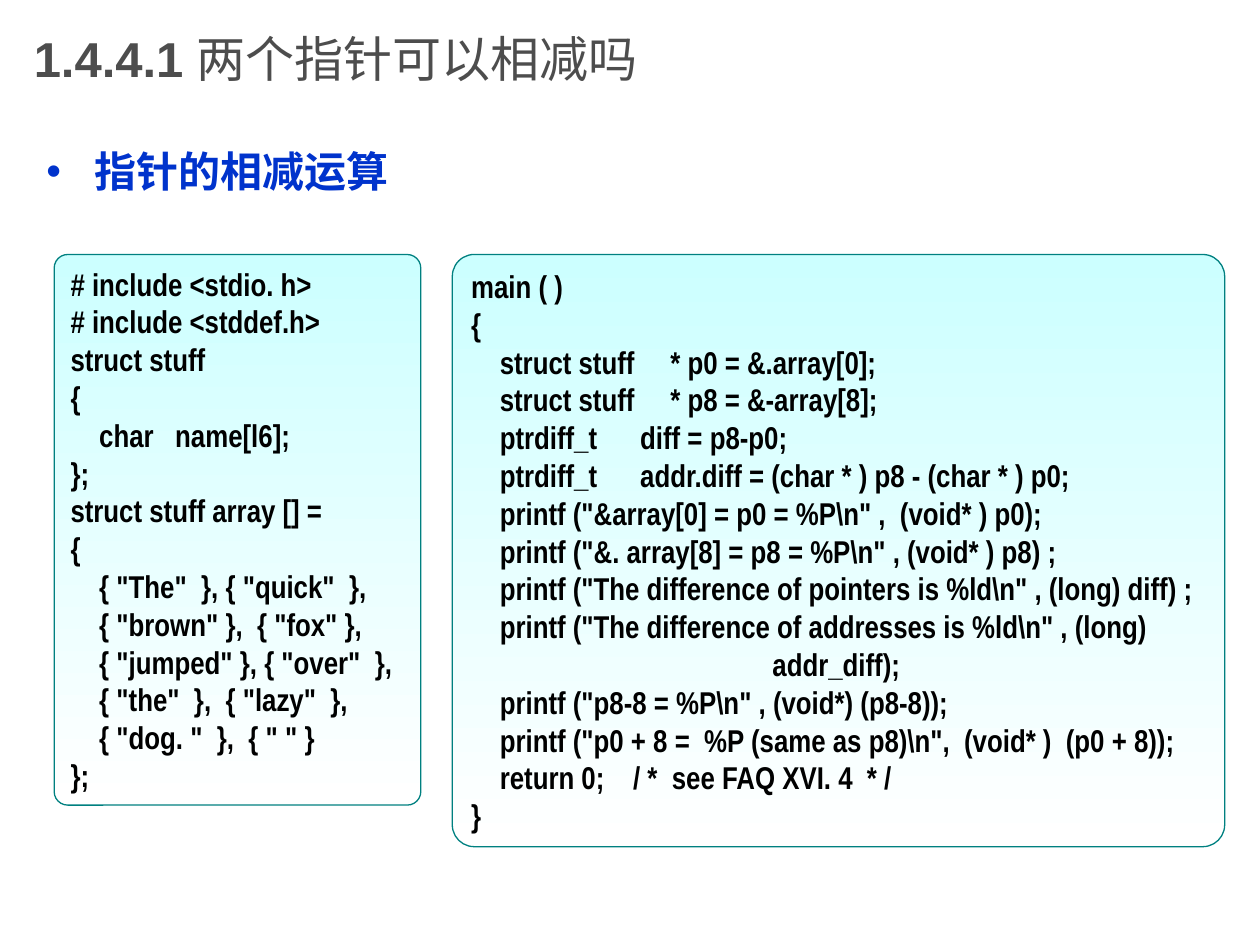
from dataclasses import dataclass

from lxml.etree import SubElement
from pptx import Presentation
from pptx.dml.color import RGBColor
from pptx.enum.shapes import MSO_SHAPE
from pptx.enum.text import MSO_ANCHOR, PP_ALIGN
from pptx.oxml.ns import qn
from pptx.util import Inches, Pt


@dataclass(frozen=True)
class Theme:
    heading: RGBColor = RGBColor(0x4D, 0x4D, 0x4D)
    topic: RGBColor = RGBColor(0x00, 0x33, 0xCC)
    code: RGBColor = RGBColor(0x00, 0x00, 0x00)
    panel_top: RGBColor = RGBColor(0xCC, 0xFF, 0xFF)
    panel_bottom: RGBColor = RGBColor(0xFF, 0xFF, 0xFF)
    panel_line: RGBColor = RGBColor(0x00, 0x80, 0x80)
    font: str = "Arial"
    code_font: str = "Arial Narrow"
    heading_size: int = 28
    topic_size: int = 24
    code_size: int = 18


THEME = Theme()

DECLARATIONS = r'''# include <stdio. h>
# include <stddef.h>
struct stuff
{
    char   name[l6];
};
struct stuff array [] =
{
    { "The"  }, { "quick"  },
    { "brown" },  { "fox" },
    { "jumped" }, { "over"  },
    { "the"  },  { "lazy"  },
    { "dog. "  },  { " " }
};'''

MAIN_FUNCTION = r'''main ( )
{
    struct stuff     * p0 = &.array[0];
    struct stuff     * p8 = &-array[8];
    ptrdiff_t      diff = p8-p0;
    ptrdiff_t      addr.diff = (char * ) p8 - (char * ) p0;
    printf ("&array[0] = p0 = %P\n" ,  (void* ) p0);
    printf ("&. array[8] = p8 = %P\n" , (void* ) p8) ;
    printf ("The difference of pointers is %ld\n" , (long) diff) ;
    printf ("The difference of addresses is %ld\n" , (long)
                                          addr_diff);
    printf ("p8-8 = %P\n" , (void*) (p8-8));
    printf ("p0 + 8 =  %P (same as p8)\n",  (void* )  (p0 + 8));
    return 0;    / *  see FAQ XVI. 4  * /
}'''


def add_run(paragraph, text, font, size, color, bold=True):
    run = paragraph.add_run()
    run.text = text
    run.font.name = font
    run.font.size = Pt(size)
    run.font.bold = bold
    run.font.color.rgb = color


def add_text_frame(slide, box, anchor):
    frame = slide.shapes.add_textbox(*map(Inches, box)).text_frame
    frame.word_wrap = True
    frame.vertical_anchor = anchor
    return frame


def add_heading(slide, box, number, title):
    paragraph = add_text_frame(slide, box, MSO_ANCHOR.MIDDLE).paragraphs[0]
    for text, bold in ((number, True), (title, False)):
        add_run(paragraph, text, THEME.font, THEME.heading_size, THEME.heading, bold)


def add_topic(slide, box, text):
    paragraph = add_text_frame(slide, box, MSO_ANCHOR.TOP).paragraphs[0]
    paragraph.alignment = PP_ALIGN.JUSTIFY
    paragraph.line_spacing = 0.9
    properties = paragraph._p.get_or_add_pPr()
    properties.set("marL", str(Inches(0.38)))
    properties.set("indent", str(Inches(-0.38)))
    SubElement(properties, qn("a:buFont"), typeface=THEME.font)
    SubElement(properties, qn("a:buChar"), char="•")
    add_run(paragraph, text, THEME.font, THEME.topic_size, THEME.topic)


def add_code_panel(slide, box, code):
    """Rounded gradient panel with one paragraph for each code line."""
    panel = slide.shapes.add_shape(MSO_SHAPE.ROUNDED_RECTANGLE, *map(Inches, box))
    panel.adjustments[0] = 0.037
    panel.shadow.inherit = False
    panel.fill.gradient()
    panel.fill.gradient_angle = 270
    stops = panel.fill.gradient_stops
    for stop, position, color in zip(stops, (0, 1), (THEME.panel_top, THEME.panel_bottom)):
        stop.position = position
        stop.color.rgb = color
    panel.line.color.rgb = THEME.panel_line
    panel.line.width = Pt(0.75)

    frame = panel.text_frame
    frame.word_wrap = True
    frame.vertical_anchor = MSO_ANCHOR.TOP
    for index, line in enumerate(code.splitlines()):
        paragraph = frame.add_paragraph() if index else frame.paragraphs[0]
        paragraph.alignment = PP_ALIGN.LEFT
        add_run(paragraph, line, THEME.code_font, THEME.code_size, THEME.code)


def main():
    presentation = Presentation()
    presentation.slide_width = Inches(10)
    presentation.slide_height = Inches(7.5)
    slide = presentation.slides.add_slide(presentation.slide_layouts[6])

    add_heading(slide, (0.17, 0, 7.5, 0.92), "1.4.4.1 ", "两个指针可以相减吗")
    add_topic(slide, (0.27, 1.15, 8.5, 0.47), "指针的相减运算")
    panel_top = 2.02
    add_code_panel(slide, (0.43, panel_top, 2.91, 4.37), DECLARATIONS)
    add_code_panel(slide, (3.59, panel_top, 6.13, 4.7), MAIN_FUNCTION)

    presentation.save("out.pptx")


if __name__ == "__main__":
    main()
